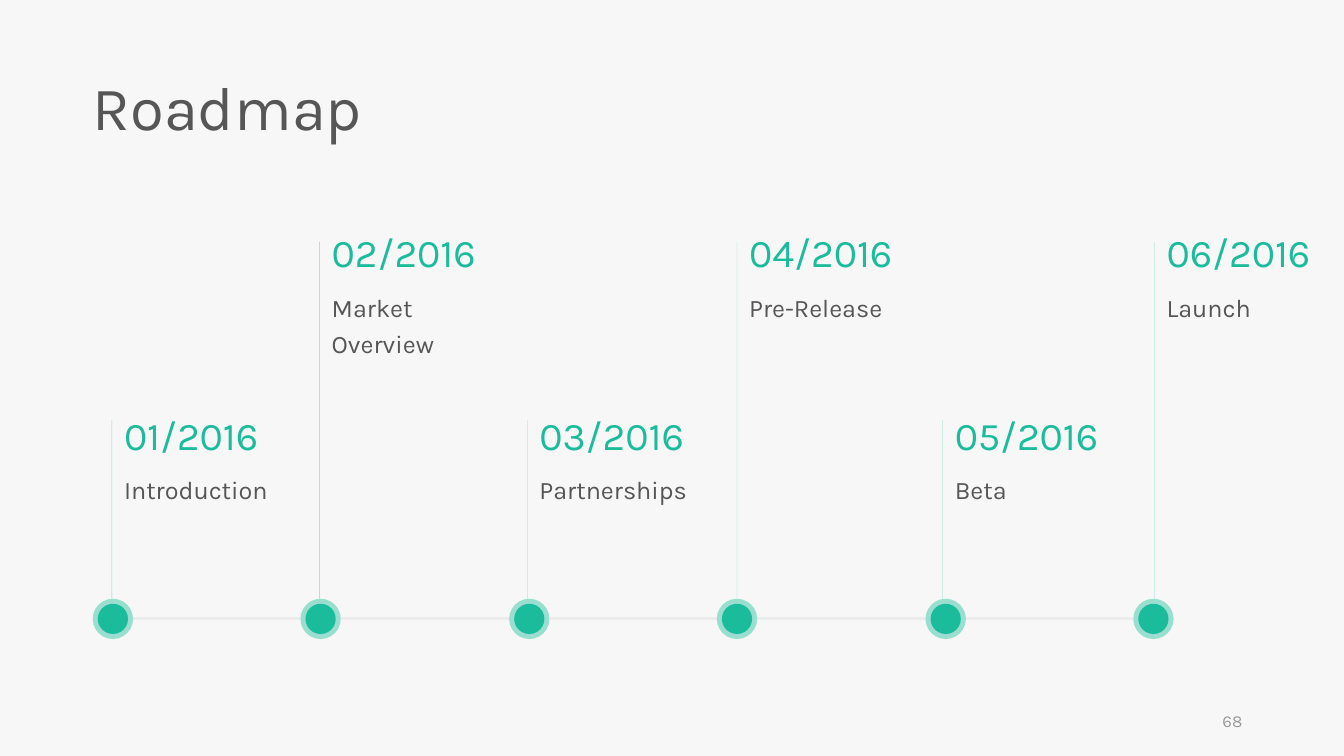
from typing import NamedTuple

from pptx import Presentation
from pptx import util as u
from pptx.dml import color
from pptx.enum import shapes, text
from pptx.oxml import parse_xml
from pptx.oxml.ns import nsdecls, qn

PX = 9144  # EMU, 100 px to the inch
FONT = "Karla"
GREEN, GREY, RAIL, PALE, PAPER = "1ABC9C", "565656", "EDECEC", "9A9A9A", "F7F7F7"

RAIL_Y = 614
DOT_LEFT, DOT_STEP = 92, 206.4
HALO, CORE = 40, 30
HIGH, LOW = 222, 403


class Milestone(NamedTuple):
    date: str
    label: str
    x: int
    top: int


MILESTONES = [
    Milestone("01/2016", "Introduction", 111, LOW),
    Milestone("02/2016", "Market Overview", 317, HIGH),
    Milestone("03/2016", "Partnerships", 523, LOW),
    Milestone("04/2016", "Pre-Release", 731, HIGH),
    Milestone("05/2016", "Beta", 935, LOW),
    Milestone("06/2016", "Launch", 1145, HIGH),
]


def px(*lengths: int) -> list[u.Emu]:
    return [u.Emu(n * PX) for n in lengths]


def paint(fmt, hex_color: str, alpha: int = 100) -> None:
    """Give a fill a solid colour with an opacity in percent."""
    fmt.solid()
    fmt.fore_color.rgb = color.RGBColor.from_string(hex_color)
    if alpha < 100:
        clr = fmt._xPr.find(qn("a:solidFill"))[0]
        clr.append(parse_xml(f'<a:alpha {nsdecls("a")} val="{alpha * 1000}"/>'))


def write(tf, words: str, size: int, hex_color: str, spacing: float = 1.0,
          left: int = 12) -> None:
    tf.word_wrap = True
    tf.margin_left, tf.margin_right, tf.margin_top, tf.margin_bottom = px(left, 10, 5, 5)
    p = tf.paragraphs[0]
    p.line_spacing = spacing
    r = p.add_run()
    r.text = words
    r.font.name = FONT
    r.font.size = u.Pt(size)
    paint(r.font.fill, hex_color)


def add_label(slide, box: tuple[int, int, int, int], words: str, size: int,
              hex_color: str, spacing: float = 1.0) -> None:
    tf = slide.shapes.add_textbox(*px(*box)).text_frame
    write(tf, words, size, hex_color, spacing)
    tf.auto_size = text.MSO_AUTO_SIZE.SHAPE_TO_FIT_TEXT


def add_line(slide, ends: tuple[int, int, int, int], hex_color: str,
             width: float, alpha: int = 100) -> None:
    sp = slide.shapes.add_connector(shapes.MSO_CONNECTOR.STRAIGHT, *px(*ends))
    sp.line.width = u.Pt(width)
    paint(sp.line.fill, hex_color, alpha)
    sp._element.spPr.append(parse_xml(f'<a:effectLst {nsdecls("a")}/>'))


def add_dot(slide, left: int) -> None:
    group = slide.shapes.add_group_shape()
    for size, alpha in ((HALO, 42), (CORE, 100)):
        inset = (HALO - size) // 2
        sp = group.shapes.add_shape(
            shapes.MSO_SHAPE.OVAL, *px(left + inset, RAIL_Y - size // 2, size, size))
        sp.shadow.inherit = False
        sp.line.fill.background()
        paint(sp.fill, GREEN, alpha)


def add_title(slide, words: str) -> None:
    title = slide.shapes.title
    title.left, title.top, title.width, title.height = px(92, 72, 490, 77)
    tf = title.text_frame
    write(tf, words, 44, GREY, 0.9, left=0)
    tf.auto_size = text.MSO_AUTO_SIZE.NONE
    tf.vertical_anchor = text.MSO_ANCHOR.TOP
    tf.paragraphs[0].alignment = text.PP_ALIGN.LEFT


def add_page_number(slide, number: str) -> None:
    tf = slide.shapes.add_textbox(*px(942, 695, 300, 40)).text_frame
    write(tf, number, 12, PALE)
    tf.vertical_anchor = text.MSO_ANCHOR.MIDDLE
    tf.paragraphs[0].alignment = text.PP_ALIGN.RIGHT


def add_milestone(slide, m: Milestone) -> None:
    stem_top = m.top + (18 if m.top == HIGH else 14)
    add_line(slide, (m.x, RAIL_Y - HALO // 2, m.x, stem_top), GREEN, 0.25, 51)
    add_label(slide, (m.x, m.top, 185, 57), m.date, 28, GREEN)
    add_label(slide, (m.x, m.top + 57, 185, 46), m.label, 18, GREY, 1.2)


def main() -> None:
    prs = Presentation()
    prs.slide_width, prs.slide_height = px(1333, 750)
    slide = prs.slides.add_slide(prs.slide_layouts[5])
    paint(slide.background.fill, PAPER)
    add_title(slide, "Roadmap")

    dots = [round(DOT_LEFT + i * DOT_STEP) for i in range(len(MILESTONES))]
    for left, following in zip(dots, dots[1:]):
        add_line(slide, (left + HALO, RAIL_Y, following, RAIL_Y), RAIL, 2.25)
    for left, milestone in zip(dots, MILESTONES):
        add_dot(slide, left)
        add_milestone(slide, milestone)

    add_page_number(slide, "68")
    prs.save("out.pptx")


if __name__ == "__main__":
    main()
